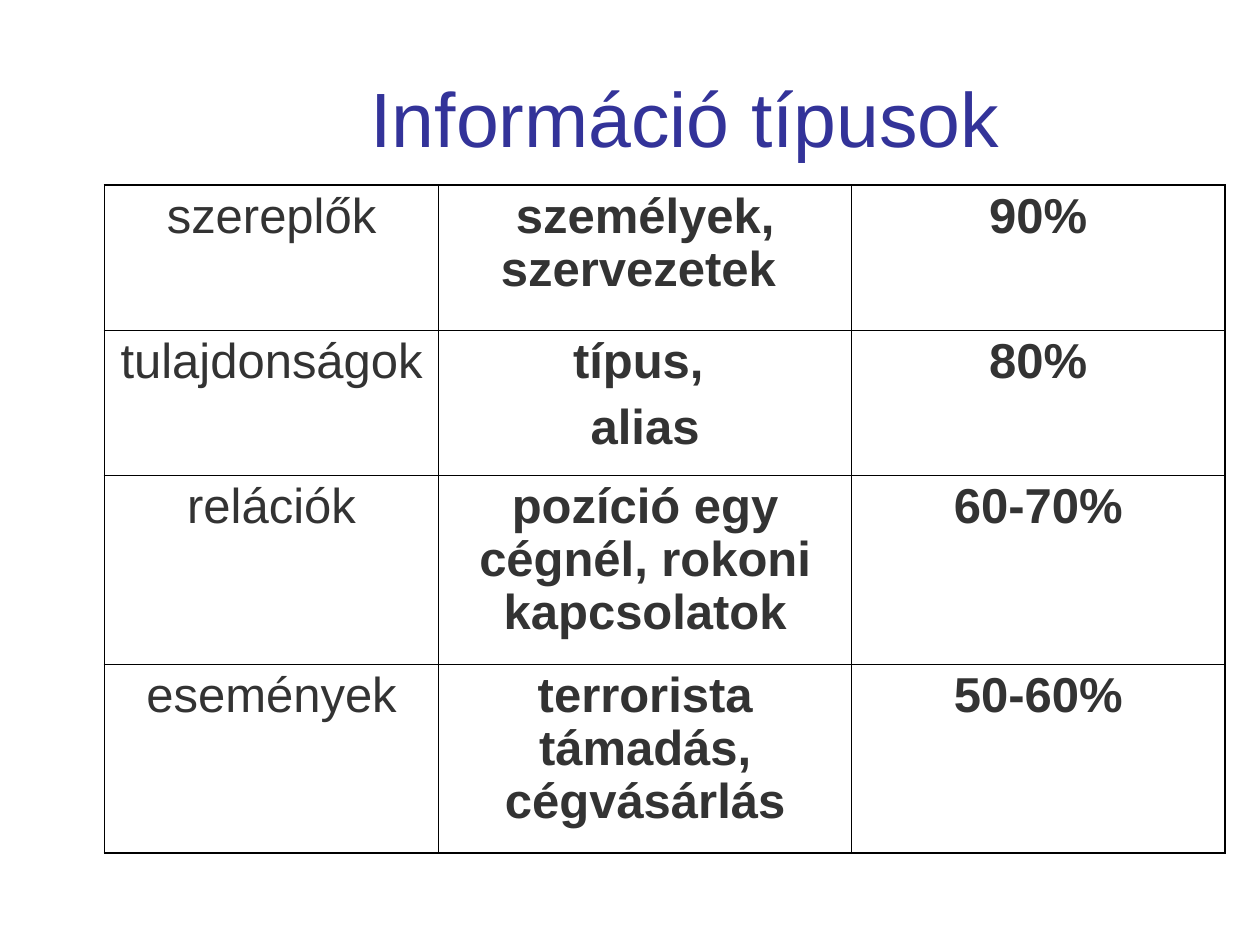
"""Build a slide with a bordered table of information types and their accuracy."""
from lxml import etree
from pptx import Presentation
from pptx.dml.color import RGBColor
from pptx.enum import text
from pptx.oxml import ns
from pptx.util import Inches, Pt

TITLE = "Információ típusok"
ROWS = [
    (["szereplők"], ["személyek, szervezetek "], ["90%"]),
    (["tulajdonságok"], ["típus, ", "alias"], ["80%"]),
    (["relációk"], ["pozíció egy cégnél, rokoni kapcsolatok"], ["60-70%"]),
    (["események"], ["terrorista támadás, cégvásárlás"], ["50-60%"]),
]
COL_WIDTHS = [2.65, 3.28, 2.96]
ROW_HEIGHTS = [1.15, 1.15, 1.5, 1.5]
FONT = "Arial"
BLUE = RGBColor(0x33, 0x33, 0x99)
GRAY = RGBColor(0x33, 0x33, 0x33)
BLACK = RGBColor(0, 0, 0)
OUTER, INNER = Pt(1.08), Pt(0.45)


def add_run(p, words, size, color, bold=False):
    p.alignment = text.PP_ALIGN.CENTER
    r = p.add_run()
    r.text = words
    r.font.name, r.font.size, r.font.bold = FONT, Pt(size), bold
    r.font.color.rgb = color


def add_border(cell, side, width):
    ln = etree.SubElement(cell._tc.get_or_add_tcPr(), ns.qn(f"a:ln{side}"), w=str(int(width)))
    fill = etree.SubElement(ln, ns.qn("a:solidFill"))
    etree.SubElement(fill, ns.qn("a:srgbClr"), val=str(BLACK))


def fill_cell(cell, lines, bold, outer_sides):
    for side, outer in outer_sides.items():
        add_border(cell, side, OUTER if outer else INNER)
    cell.fill.background()
    tf = cell.text_frame
    for i, line in enumerate(lines):
        p = tf.add_paragraph() if i else tf.paragraphs[0]
        p.space_before = Pt(7)
        p.line_spacing = 0.97
        add_run(p, line, 28, GRAY, bold)


def main():
    prs = Presentation()
    prs.slide_width, prs.slide_height = Inches(10), Inches(7.5)
    s = prs.slides.add_slide(prs.slide_layouts[6])

    tf = s.shapes.add_textbox(Inches(1.44), Inches(0.36), Inches(8), Inches(1.13)).text_frame
    tf.word_wrap = True
    tf.vertical_anchor = text.MSO_ANCHOR.MIDDLE
    add_run(tf.paragraphs[0], TITLE, 44, BLUE)

    table = s.shapes.add_table(
        len(ROWS), len(COL_WIDTHS), Inches(0.83), Inches(1.47),
        Inches(sum(COL_WIDTHS)), Inches(sum(ROW_HEIGHTS))).table
    table.first_row = table.horz_banding = False
    for col, width in zip(table.columns, COL_WIDTHS):
        col.width = Inches(width)
    for row, height in zip(table.rows, ROW_HEIGHTS):
        row.height = Inches(height)
    last_row, last_col = len(ROWS) - 1, len(COL_WIDTHS) - 1
    for i, row in enumerate(ROWS):
        for j, lines in enumerate(row):
            sides = {"L": j == 0, "R": j == last_col, "T": i == 0, "B": i == last_row}
            fill_cell(table.cell(i, j), lines, j > 0, sides)

    prs.save("out.pptx")


if __name__ == "__main__":
    main()
